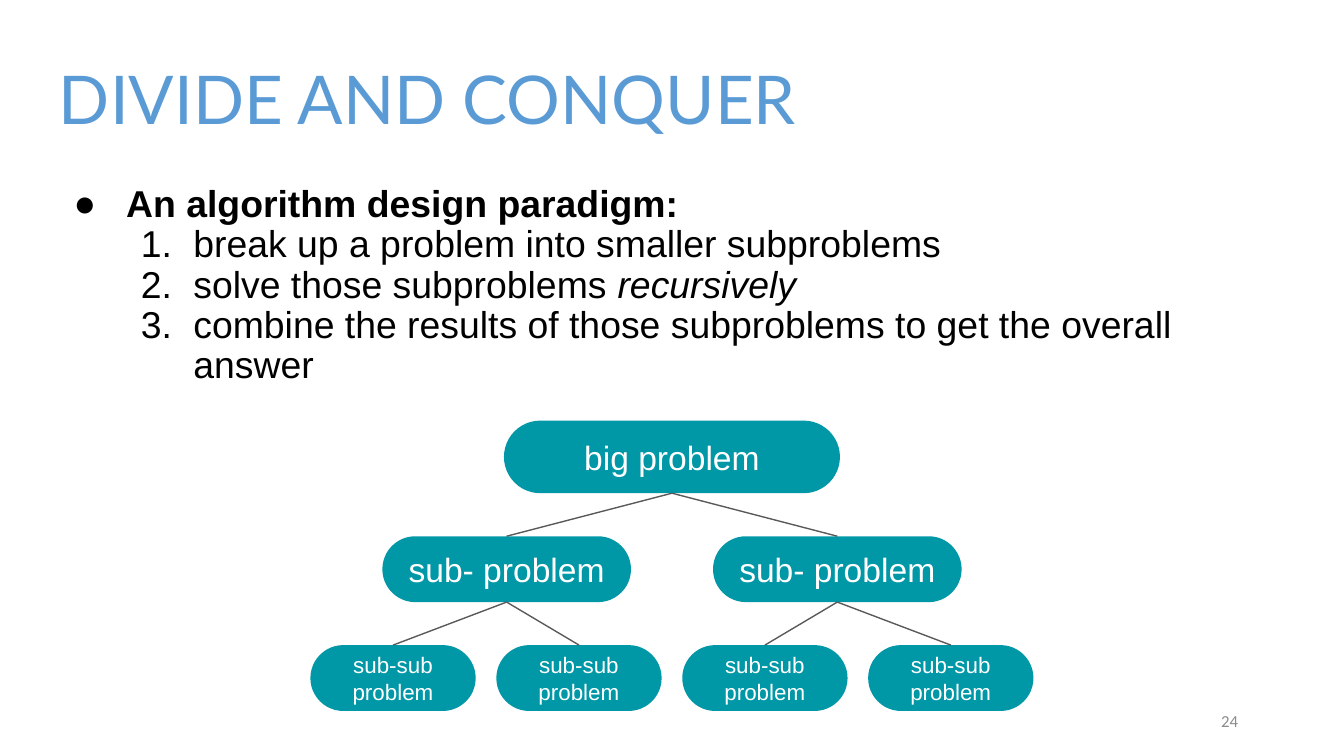
"""Build the divide and conquer slide with its tree of subproblems."""
import pptx
import pptx.util
import pptx.dml.color
import pptx.enum.shapes
import pptx.enum.text
import pptx.oxml.ns
from lxml import etree

Inches, Pt = pptx.util.Inches, pptx.util.Pt
RGBColor = pptx.dml.color.RGBColor
Align, Anchor = pptx.enum.text.PP_ALIGN, pptx.enum.text.MSO_ANCHOR
qn = pptx.oxml.ns.qn

BLUE = RGBColor(0x5B, 0x9B, 0xD5)
TEAL = RGBColor(0x00, 0x97, 0xA7)
BLACK = RGBColor(0, 0, 0)
WHITE = RGBColor(0xFF, 0xFF, 0xFF)
BRANCH_GREY = RGBColor(0x59, 0x59, 0x59)
NUMBER_GREY = RGBColor(0x8C, 0x8C, 0x8C)

WIDTH = 10
HEIGHT = WIDTH * 9 / 16
INSET = 0.1
HANGING = 0.39

TITLE = "DIVIDE AND CONQUER"
PAGE_NUMBER = "24"
PARADIGM = [
    (0, [("An algorithm design paradigm:", "bold")]),
    (1, [("break up a problem into smaller subproblems", "")]),
    (1, [("solve those subproblems ", ""), ("recursively", "italic")]),
    (1, [("combine the results of those subproblems to get the overall answer", "")]),
]
TREE_LEVELS = [
    {"label": "big problem", "count": 1, "top": 3.13, "size": (2.5, 0.54), "pitch": 0, "points": 18},
    {"label": "sub- problem", "count": 2, "top": 3.99, "size": (1.85, 0.49), "pitch": 2.46, "points": 18},
    {"label": "sub-sub problem", "count": 4, "top": 4.8, "size": (1.23, 0.49), "pitch": 4.15 / 3, "points": 12},
]


def prepare_frame(frame, anchor):
    frame.word_wrap = True
    frame.vertical_anchor = anchor
    frame.margin_left = frame.margin_right = Inches(INSET)
    frame.margin_top = frame.margin_bottom = Inches(INSET)
    return frame


def add_run(paragraph, text, font_name, points, color, style=""):
    run = paragraph.add_run()
    run.text = text
    run.font.name = font_name
    run.font.size = Pt(points)
    run.font.color.rgb = color
    run.font.bold = style == "bold"
    run.font.italic = style == "italic"


def add_text_box(slide, left, top, width, height, anchor):
    box = slide.shapes.add_textbox(*map(Inches, (left, top, width, height)))
    prepare_frame(box.text_frame, anchor)
    return box


def add_title(slide):
    title = add_text_box(slide, 0.34, 0.41, 9.32, 0.71, Anchor.MIDDLE)
    title.line.color.rgb = WHITE
    title.line.width = Pt(2.25)
    paragraph = title.text_frame.paragraphs[0]
    paragraph.line_spacing = 0.9
    add_run(paragraph, TITLE, "Lato", 36, BLUE)


def set_marker(paragraph, level):
    properties = paragraph._p.get_or_add_pPr()
    properties.set("marL", str(Inches(0.5 * (level + 1))))
    properties.set("indent", str(-Inches(HANGING)))
    marker_color = etree.SubElement(properties, qn("a:buClr"))
    etree.SubElement(marker_color, qn("a:srgbClr")).set("val", str(BLACK))
    etree.SubElement(properties, qn("a:buFont")).set("typeface", "Arial")
    if level:
        etree.SubElement(properties, qn("a:buAutoNum")).set("type", "arabicPeriod")
        paragraph.level = level
    else:
        etree.SubElement(properties, qn("a:buChar")).set("char", "●")


def add_paradigm(slide):
    frame = add_text_box(slide, 0.34, 1.28, 9.15, 2.13, Anchor.TOP).text_frame
    for index, (level, pieces) in enumerate(PARADIGM):
        paragraph = frame.add_paragraph() if index else frame.paragraphs[0]
        set_marker(paragraph, level)
        paragraph.line_spacing = 0.9
        for text, style in pieces:
            add_run(paragraph, text, "Arial", 20, BLACK, style)


def add_page_number(slide):
    number = add_text_box(slide, 7.06, 5.21, 2.25, 0.3, Anchor.MIDDLE)
    paragraph = number.text_frame.paragraphs[0]
    paragraph.alignment = Align.RIGHT
    add_run(paragraph, PAGE_NUMBER, "Calibri", 9, NUMBER_GREY)


def add_problem(slide, level, index):
    width, height = level["size"]
    center = WIDTH / 2 + (index - (level["count"] - 1) / 2) * level["pitch"]
    problem = slide.shapes.add_shape(
        pptx.enum.shapes.MSO_SHAPE.ROUNDED_RECTANGLE,
        *map(Inches, (center - width / 2, level["top"], width, height)))
    problem.adjustments[0] = 0.5
    problem.shadow.inherit = False
    problem.fill.solid()
    problem.fill.fore_color.rgb = TEAL
    problem.line.fill.background()
    paragraph = prepare_frame(problem.text_frame, Anchor.MIDDLE).paragraphs[0]
    paragraph.alignment = Align.CENTER
    add_run(paragraph, level["label"], "Arial", level["points"], WHITE)
    return problem


def add_branch(slide, parent, child):
    branch = slide.shapes.add_connector(pptx.enum.shapes.MSO_CONNECTOR.STRAIGHT, 0, 0, 0, 0)
    branch.begin_connect(parent, 2)
    branch.end_connect(child, 0)
    branch.line.color.rgb = BRANCH_GREY
    branch.line.width = Pt(0.75)
    etree.SubElement(branch._element.spPr, qn("a:effectLst"))


def add_tree(slide):
    rows = [[add_problem(slide, level, index) for index in range(level["count"])]
            for level in TREE_LEVELS]
    for parents, children in zip(rows, rows[1:]):
        for index, child in enumerate(children):
            add_branch(slide, parents[index // 2], child)


def main():
    presentation = pptx.Presentation()
    presentation.slide_width, presentation.slide_height = Inches(WIDTH), Inches(HEIGHT)
    slide = presentation.slides.add_slide(presentation.slide_layouts[6])
    add_title(slide)
    add_paradigm(slide)
    add_page_number(slide)
    add_tree(slide)
    presentation.save("out.pptx")


if __name__ == "__main__":
    main()
